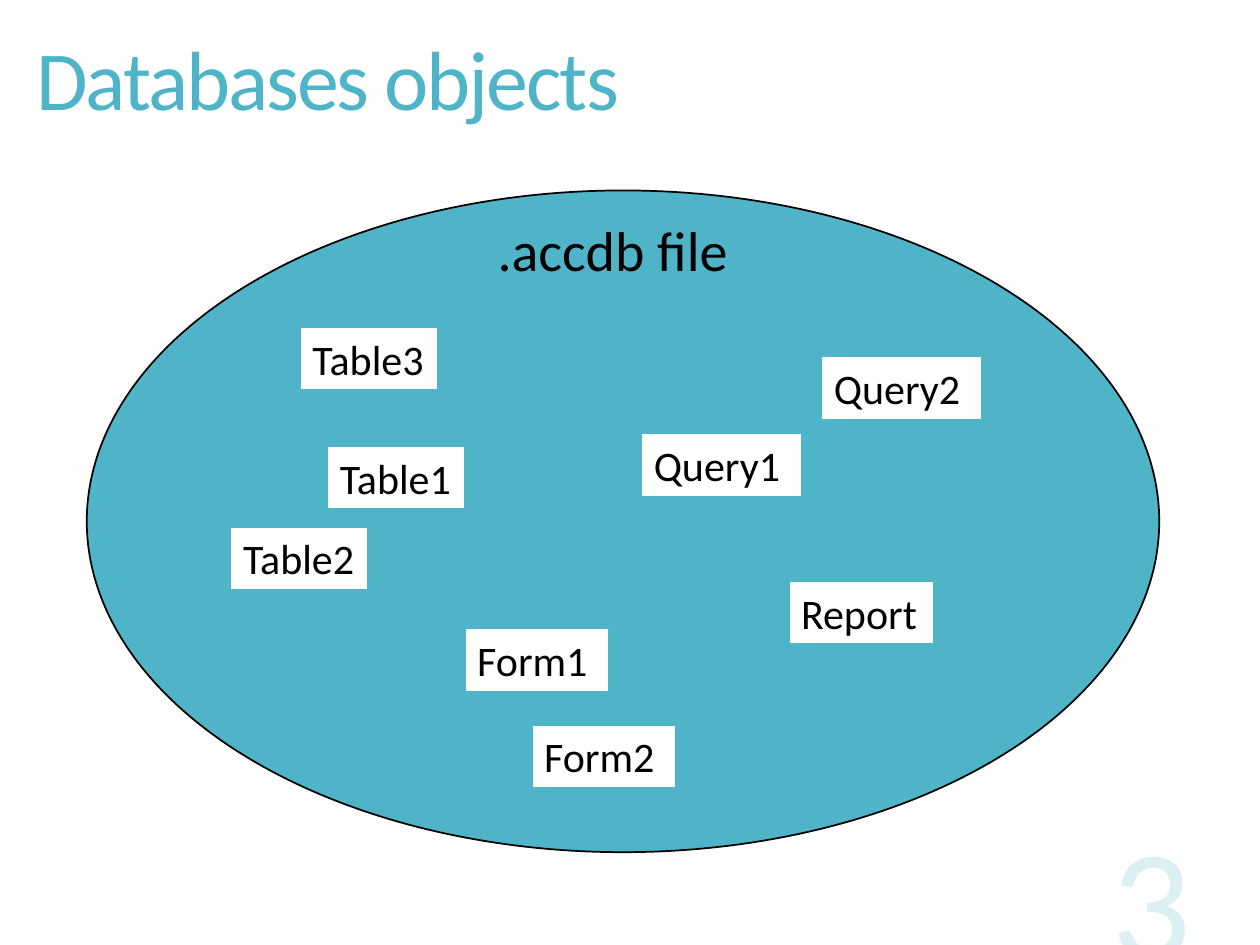
from lxml.etree import SubElement
from pptx import Presentation
from pptx.dml.color import RGBColor
from pptx.enum.shapes import MSO_SHAPE as Preset
from pptx.enum.text import MSO_ANCHOR as Anchor, PP_ALIGN as Align
from pptx.oxml.ns import qn
from pptx.util import Cm, Pt


def rgb(code):
    return RGBColor.from_string(code)


class Sheet:
    font = "Calibri"
    teal, black, white = "50B4C8", "000000", "FFFFFF"

    def __init__(self, slide):
        self.slide = slide

    def label(self, holder, words, size, color, align=Align.LEFT, anchor=Anchor.TOP):
        frame = holder.text_frame
        frame.word_wrap = True
        frame.vertical_anchor = anchor
        paragraph = frame.paragraphs[0]
        paragraph.alignment = align
        paragraph.add_run().text = words
        paragraph.font.name = self.font
        paragraph.font.size = Pt(size)
        paragraph.font.color.rgb = rgb(color)
        return paragraph

    def text(self, box, words, size, color, **layout):
        holder = self.slide.shapes.add_textbox(*map(Cm, box))
        return self.label(holder, words, size, color, **layout)

    def shape(self, preset, box, fill, line):
        shape = self.slide.shapes.add_shape(preset, *map(Cm, box))
        shape.shadow.inherit = False
        shape.fill.solid()
        shape.fill.fore_color.rgb = rgb(fill)
        shape.line.color.rgb = rgb(line)
        shape.line.width = Pt(1)
        return shape

    def tag(self, words, left, top, width):
        box = (left, top, width, 1.27)
        holder = self.shape(Preset.RECTANGLE, box, self.white, self.teal)
        self.label(holder, words, 24, self.black)


deck = Presentation()
deck.slide_width, deck.slide_height = Cm(25.4), Cm(19.05)
sheet = Sheet(deck.slides.add_slide(deck.slide_layouts[6]))

title = sheet.text((0.48, 0.25, 22.45, 2.87), "Databases objects", 48, sheet.teal,
                   anchor=Anchor.MIDDLE)
title.line_spacing = 0.9
title.runs[0]._r.get_or_add_rPr().set("spc", "-120")

sheet.shape(Preset.OVAL, (1.75, 3.84, 21.62, 13.34), sheet.teal, sheet.black)
sheet.text((9.78, 4.22, 6.78, 1.63), ".accdb file", 32, sheet.black)

number = sheet.text((18.16, 16.21, 6.1, 3.89), "3", 90, sheet.teal,
                    align=Align.RIGHT, anchor=Anchor.BOTTOM)
for tint in number._p.iter(qn("a:srgbClr")):
    SubElement(tint, qn("a:alpha"), val="20000")

database_objects = {
    "Table": (2.77, [(6.6, 8.99), (4.65, 10.62), (6.05, 6.6)]),
    "Query": (3.23, [(12.93, 8.74), (16.56, 7.19)]),
    "Form": (2.9, [(9.37, 12.67), (10.72, 14.61)]),
    "Report": (2.92, [(15.9, 11.71)]),
}
for kind, (width, places) in database_objects.items():
    for order, (left, top) in enumerate(places, 1):
        name = f"{kind}{order}" if len(places) > 1 else kind
        sheet.tag(name, left, top, width)

deck.save("out.pptx")
